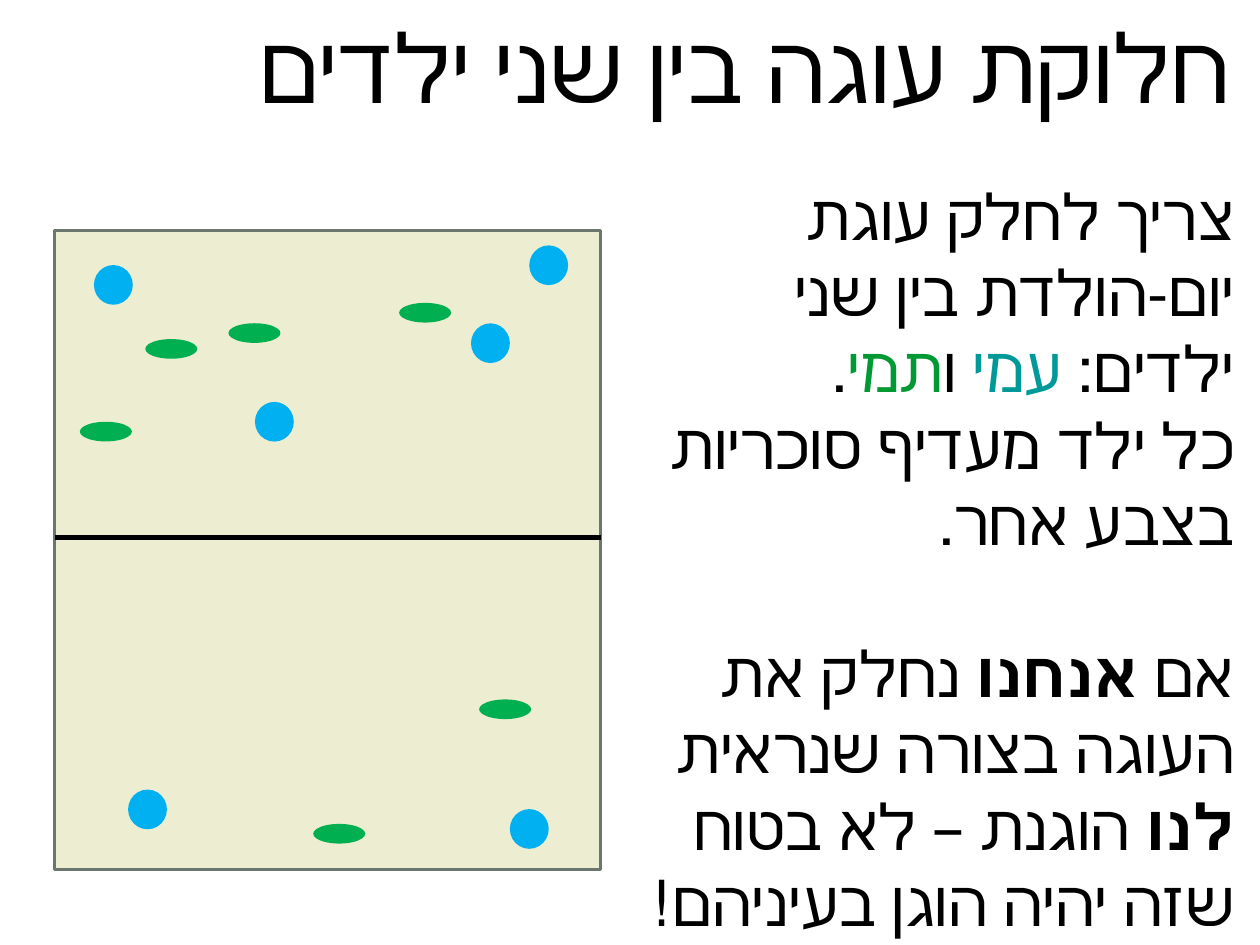
from dataclasses import dataclass

from lxml import etree
from pptx import Presentation
from pptx import util as u
from pptx.dml.color import RGBColor
from pptx.enum import lang, shapes, text
from pptx.oxml.ns import qn


@dataclass(frozen=True)
class Theme:
    font: str = "Arial"
    ink: str = "000000"
    cake: str = "ECEDD1"
    cake_edge: str = "6B766F"
    blue_candy: str = "00B0F0"
    green_candy: str = "00B050"
    ami: str = "009999"
    tami: str = "009933"
    title_size: float = 60
    body_size: float = 40


class SlideBuilder:
    def __init__(self, s, theme):
        self.s = s
        self.theme = theme

    def shape(self, kind, box, fill, edge=None, width=2):
        sp = self.s.shapes.add_shape(kind, *map(u.Pt, box))
        sp.shadow.inherit = False
        sp.fill.solid()
        sp.fill.fore_color.rgb = RGBColor.from_string(fill)
        if edge:
            sp.line.color.rgb = RGBColor.from_string(edge)
            sp.line.width = u.Pt(width)
        else:
            sp.line.fill.background()
        return sp

    def candies(self, places, size, fill):
        for place in places:
            self.shape(shapes.MSO_SHAPE.OVAL, place + size, fill)

    def line(self, x1, y1, x2, y2, width):
        cx = self.s.shapes.add_connector(
            shapes.MSO_CONNECTOR.STRAIGHT, *map(u.Pt, (x1, y1, x2, y2)))
        cx.line.color.rgb = RGBColor.from_string(self.theme.ink)
        cx.line.width = u.Pt(width)
        etree.SubElement(cx._element.spPr, qn("a:effectLst"))

    def text(self, box, paragraphs, size, anchor=text.MSO_ANCHOR.TOP, indent=0):
        """Add right-to-left text; a paragraph is (space before, runs), a run (words, colour, bold)."""
        tf = self.s.shapes.add_textbox(*map(u.Pt, box)).text_frame
        tf.word_wrap = True
        tf.vertical_anchor = anchor
        for i, (space, runs) in enumerate(paragraphs):
            p = tf.add_paragraph() if i else tf.paragraphs[0]
            p.alignment = text.PP_ALIGN.RIGHT
            p.space_before = u.Pt(space)
            pPr = p._p.get_or_add_pPr()
            pPr.set("rtl", "1")
            pPr.set("marL", str(u.Pt(indent)))
            pPr.set("indent", "0")
            for words, colour, bold in runs:
                r = p.add_run()
                r.text = words
                self.format_run(r, size, colour, bold)

    def format_run(self, r, size, colour, bold):
        r.font.size = u.Pt(size)
        r.font.bold = bold
        r.font.name = self.theme.font
        r.font.language_id = lang.MSO_LANGUAGE_ID.HEBREW
        r.font.color.rgb = RGBColor.from_string(colour)


def main():
    prs = Presentation()
    prs.slide_width, prs.slide_height = u.Pt(793.7), u.Pt(595.28)
    t = Theme()
    b = SlideBuilder(prs.slides.add_slide(prs.slide_layouts[6]), t)

    left, top, width, height = cake = (34.4, 145.2, 344, 402.5)
    b.shape(shapes.MSO_SHAPE.RECTANGLE, cake, t.cake, t.cake_edge)
    b.candies([(296.7, 203.7), (321.2, 509.7), (333.4, 154.6),
               (59.2, 167), (80.7, 497.4), (160.6, 253.2)],
              (24.5, 25), t.blue_candy)
    b.candies([(251.4, 190.8), (301.8, 440.6), (50.3, 265.7),
               (91.5, 213.6), (197.3, 519), (143.9, 203.6)],
              (32.8, 12.4), t.green_candy)
    b.line(left, 338.4, left + width, 338.4, 2.89)

    b.text((14.4, 3.6, 784.8, 75.6),
           [(0, [("חלוקת עוגה בין שני ילדים", t.ink, False)])],
           t.title_size, text.MSO_ANCHOR.MIDDLE, indent=17.3)
    b.text((388.8, 108, 396, 498.2), [
        (0, [("צריך לחלק עוגת יום-הולדת בין שני ילדים: ", t.ink, False),
             ("עמי", t.ami, False),
             (" ו", t.ink, False),
             ("תמי", t.tami, False),
             (".", t.ink, False)]),
        (0, [("כל ילד מעדיף סוכריות בצבע אחר.", t.ink, False)]),
        (48, [("אם ", t.ink, False),
              ("אנחנו", t.ink, True),
              (" נחלק את העוגה בצורה שנראית ", t.ink, False),
              ("לנו", t.ink, True),
              (" הוגנת – לא בטוח שזה יהיה הוגן בעיניהם!", t.ink, False)]),
    ], t.body_size)

    prs.save("out.pptx")


if __name__ == "__main__":
    main()
